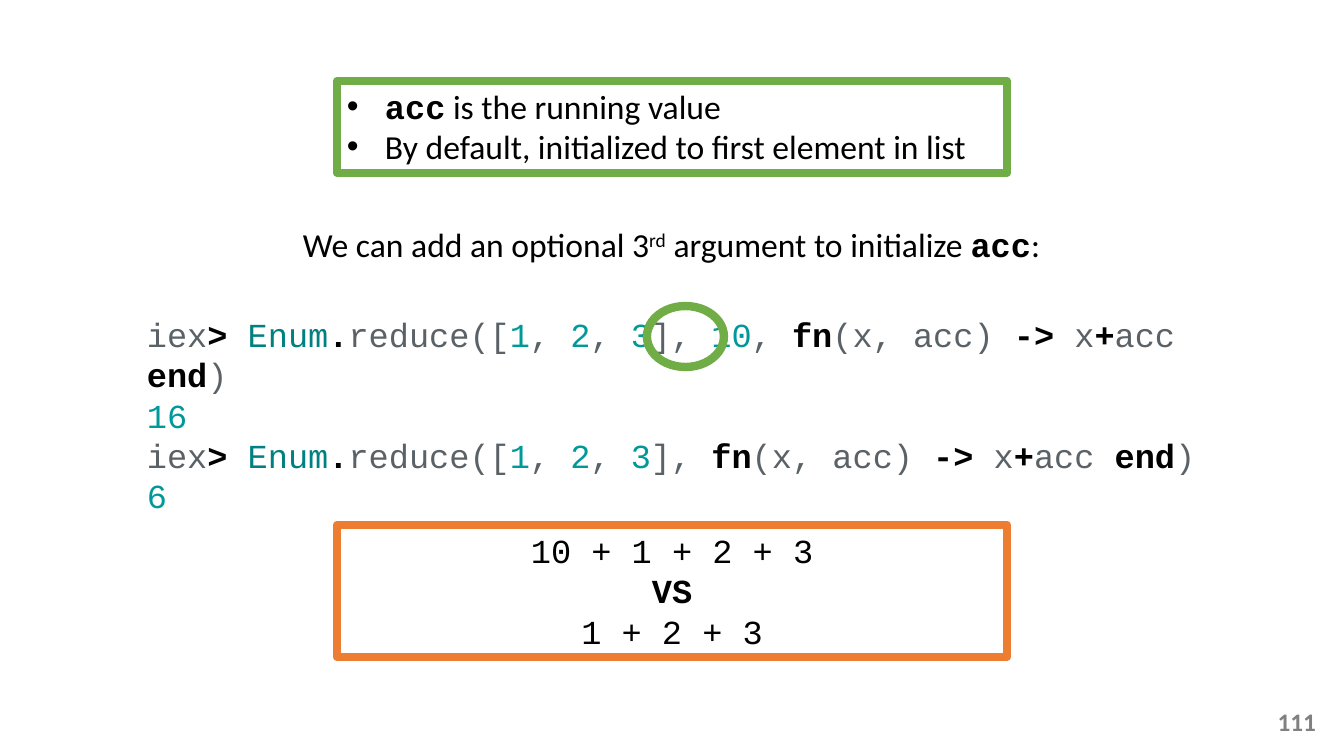
from lxml.etree import SubElement
from pptx import Presentation
from pptx.dml.color import RGBColor
from pptx.enum.shapes import MSO_SHAPE
from pptx.enum.text import MSO_ANCHOR, MSO_AUTO_SIZE, PP_ALIGN
from pptx.oxml.ns import qn
from pptx.util import Emu, Pt


class Theme:
    sans, mono = "Calibri", "Courier New"
    body, small, edge = Pt(24), Pt(18), Pt(6)
    black, white, gray = "000000", "FFFFFF", "808080"
    slate, teal, cyan = "5A6267", "008080", "009999"
    green, orange = "70AD47", "ED7D31"


def style(name, color=Theme.black, bold=False, size=Theme.body):
    return {"name": name, "size": size, "bold": bold, "color": color}


STYLES = {
    "text": style(Theme.sans),
    "sup": style(Theme.sans),
    "mono": style(Theme.mono),
    "key": style(Theme.mono, bold=True),
    "code": style(Theme.mono, Theme.slate),
    "mod": style(Theme.mono, Theme.teal),
    "num": style(Theme.mono, Theme.cyan),
    "page": style(Theme.sans, Theme.gray, True, Theme.small),
}


def px(n):
    return Emu(round(n * 914400 / 100.8))


def add_run(para, text, kind):
    run = para.add_run()
    run.text = text
    for key, value in STYLES[kind].items():
        if key == "color":
            run.font.color.rgb = RGBColor.from_string(value)
        else:
            setattr(run.font, key, value)
    if kind == "sup":
        run._r.get_or_add_rPr().set("baseline", "30000")


def add_bullet(para):
    props = para._p.get_or_add_pPr()
    indent = px(38)
    props.set("marL", str(indent))
    props.set("indent", str(-indent))
    SubElement(props, qn("a:buFont")).set("typeface", "Arial")
    SubElement(props, qn("a:buChar")).set("char", "•")


def write(shape, lines, align=PP_ALIGN.LEFT, bullet=False, **form):
    frame = shape.text_frame
    base = {"word_wrap": True, "vertical_anchor": MSO_ANCHOR.TOP,
            "auto_size": MSO_AUTO_SIZE.SHAPE_TO_FIT_TEXT}
    for key, value in {**base, **form}.items():
        setattr(frame, key, value)
    for i, runs in enumerate(lines):
        para = frame.add_paragraph() if i else frame.paragraphs[0]
        para.alignment = align
        if bullet:
            add_bullet(para)
        for text, kind in runs:
            add_run(para, text, kind)


def add_frame(slide, box, color, kind=MSO_SHAPE.RECTANGLE, fill=Theme.white):
    shape = slide.shapes.add_shape(kind, *map(px, box))
    shape.shadow.inherit = False
    if fill:
        shape.fill.solid()
        shape.fill.fore_color.rgb = RGBColor.from_string(fill)
    else:
        shape.fill.background()
    shape.line.color.rgb = RGBColor.from_string(color)
    shape.line.width = Theme.edge
    return shape


def add_label(slide, box, lines, **form):
    write(slide.shapes.add_textbox(*map(px, box)), lines, **form)


# Notes on the accumulator
def add_notes(slide, box):
    lines = [
        [("acc", "key"), (" is the running value", "text")],
        [("By default, initialized to first element in list", "text")],
    ]
    write(add_frame(slide, box, Theme.green), lines, bullet=True)


# Sentence that introduces the code
def add_intro(slide, box):
    line = [("We can add an optional 3", "text"), ("rd", "sup"),
            (" argument to initialize ", "text"), ("acc", "key"), (":", "text")]
    add_label(slide, box, [line], align=PP_ALIGN.CENTER)


def reduce_call(start=None):
    runs = [("iex", "code"), ("> ", "key"), ("Enum", "mod"), (".", "key"),
            ("reduce([", "code")]
    for num, sep in (("1", ", "), ("2", ", "), ("3", "], ")):
        runs += [(num, "num"), (sep, "code")]
    if start:
        runs += [(start, "num"), (", ", "code")]
    return runs + [("fn", "key"), ("(x, acc) ", "code"), ("-> ", "key"),
                   ("x", "code"), ("+", "key"), ("acc ", "code"),
                   ("end", "key"), (")", "code")]


# Console session with a ring around the third argument
def add_code(slide, box):
    left, top = box[:2]
    add_label(slide, box, [reduce_call("10"), [("16", "num")],
                           reduce_call(), [("6", "num")]])
    ring = (left + 510, top - 3, 77, 61)
    add_frame(slide, ring, Theme.green, MSO_SHAPE.OVAL, fill=None)


# The two sums side by side
def add_sums(slide, box):
    lines = [[("10 + 1 + 2 + 3", "mono")], [("VS", "key")],
             [("1 + 2 + 3", "mono")]]
    write(add_frame(slide, box, Theme.orange), lines, align=PP_ALIGN.CENTER)


# Page number
def add_page(slide, box):
    add_label(slide, box, [[("111", "page")]], align=PP_ALIGN.RIGHT,
              vertical_anchor=MSO_ANCHOR.MIDDLE, auto_size=MSO_AUTO_SIZE.NONE)


def main():
    deck = Presentation()
    deck.slide_width, deck.slide_height = px(1344), px(756)
    slide = deck.slides.add_slide(deck.slide_layouts[6])
    add_notes(slide, (337, 81, 670, 92))
    add_intro(slide, (291, 219, 761, 50))
    add_code(slide, (137, 309, 1069, 173))
    add_sums(slide, (337, 525, 670, 132))
    add_page(slide, (1024, 701, 302, 40))
    deck.save("out.pptx")


if __name__ == "__main__":
    main()
